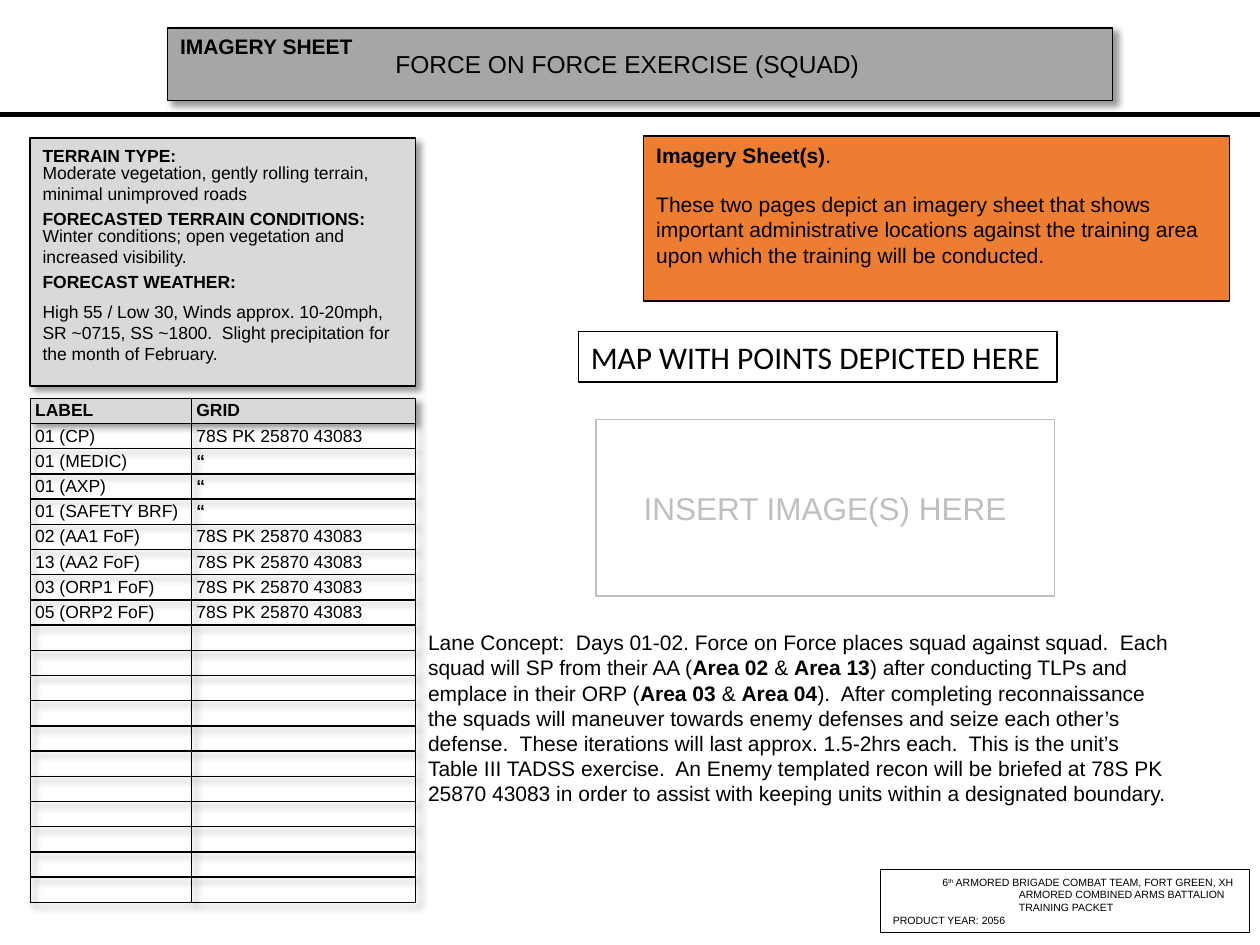
"""Build the imagery sheet slide for a squad force on force exercise."""
from lxml import etree
from pptx import Presentation
from pptx.dml.color import RGBColor
from pptx.enum.shapes import MSO_CONNECTOR, MSO_SHAPE
from pptx.enum.text import MSO_ANCHOR, PP_ALIGN
from pptx.oxml.ns import qn
from pptx.util import Cm, Pt

BLACK = RGBColor(0x00, 0x00, 0x00)
WHITE = RGBColor(0xFF, 0xFF, 0xFF)
GRAY = RGBColor(0xA6, 0xA6, 0xA6)
LIGHT = RGBColor(0xD9, 0xD9, 0xD9)
SILVER = RGBColor(0xBF, 0xBF, 0xBF)
ORANGE = RGBColor(0xED, 0x7D, 0x31)

GRID = "78S PK 25870 43083"
POINTS = [
    ("LABEL", "GRID"),
    ("01 (CP)", GRID),
    ("01 (MEDIC)", "“"),
    ("01 (AXP)", "“"),
    ("01 (SAFETY BRF)", "“"),
    ("02 (AA1 FoF)", GRID),
    ("13 (AA2 FoF)", GRID),
    ("03 (ORP1 FoF)", GRID),
    ("05 (ORP2 FoF)", GRID),
]
ROWS = 20
FORECASTS = [
    (3.15, 0.71, "Moderate vegetation, gently rolling terrain, minimal unimproved roads"),
    (4.42, 0.71, "Winter conditions; open vegetation and increased visibility."),
    (5.94, 1.73, "High 55 / Low 30, Winds approx. 10-20mph, SR ~0715, SS ~1800.  "
                 "Slight precipitation for the month of February."),
]
LANE = (
    "Lane Concept:  Days 01-02. Force on Force places squad against squad.  Each squad "
    "will SP from their AA (**Area 02 **& **Area 13**) after conducting TLPs and emplace "
    "in their ORP (**Area 03 **& **Area 04**).  After completing reconnaissance the squads "
    "will maneuver towards enemy defenses and seize each other’s defense.  These "
    "iterations will last approx. 1.5-2hrs each.  This is the unit’s Table III TADSS "
    "exercise.  An Enemy templated recon will be briefed at 78S PK 25870 43083 in order to "
    "assist with keeping units within a designated boundary."
)


def add_shadow(parent, index):
    effects = etree.Element(qn("a:effectLst"))
    shadow = etree.SubElement(effects, qn("a:outerShdw"), blurRad=str(Pt(4)),
                              dist=str(Pt(3)), dir="2700000", algn="tl", rotWithShape="0")
    color = etree.SubElement(shadow, qn("a:srgbClr"), val=str(BLACK))
    etree.SubElement(color, qn("a:alpha"), val="40000")
    parent.insert(index, effects)


def set_paragraph(p, text, size, color=BLACK, bold=False, font="Arial"):
    p.font.size, p.font.name, p.font.bold = Pt(size), font, bold
    p.font.color.rgb = color
    for i, part in enumerate(text.split("**")):
        if part:
            r = p.add_run()
            r.text = part
            if i % 2:
                r.font.bold = True


def set_text(tf, lines, size, wrap=True, align=PP_ALIGN.LEFT, gap=0, **style):
    tf.word_wrap = wrap
    tf.vertical_anchor = MSO_ANCHOR.TOP
    for i, line in enumerate(lines):
        p = tf.add_paragraph() if i else tf.paragraphs[0]
        p.alignment = align
        if i and gap:
            p.space_before = Pt(gap)
        set_paragraph(p, line, size, **style)


def add_box(s, box, fill=None, line=BLACK, width=1, shadow=False):
    sp = s.shapes.add_shape(MSO_SHAPE.RECTANGLE, *map(Cm, box))
    sp.shadow.inherit = False
    if fill is None:
        sp.fill.background()
    else:
        sp.fill.solid()
        sp.fill.fore_color.rgb = fill
    sp.line.color.rgb = line
    sp.line.width = Pt(width)
    if shadow:
        sppr = sp.element.spPr
        sppr.remove(sppr.find(qn("a:effectLst")))
        add_shadow(sppr, len(sppr))
    return sp.text_frame


def add_label(s, box, text, size, wrap=True):
    set_text(s.shapes.add_textbox(*map(Cm, box)).text_frame, [text], size, wrap)


def add_rule(s, y):
    rule = s.shapes.add_connector(MSO_CONNECTOR.STRAIGHT, 0, Cm(y), Cm(25.4), Cm(y))
    rule.line.color.rgb = BLACK
    rule.line.width = Pt(3)
    etree.SubElement(rule.element.spPr, qn("a:effectLst"))


def add_footer(s):
    tf = add_box(s, (17.75, 17.53, 7.44, 1.27), WHITE, width=0.75)
    lines = ["6", "ARMORED COMBINED ARMS BATTALION", "TRAINING PACKET", "PRODUCT YEAR: 2056"]
    set_text(tf, lines, 6, wrap=False)
    for p, indent in zip(tf.paragraphs, (1, 2.54, 2.54, 0)):
        p._p.get_or_add_pPr().set("marL", str(Cm(indent)))
    first = tf.paragraphs[0]
    ordinal = first.add_run()
    ordinal.text = "th"
    ordinal._r.get_or_add_rPr().set("baseline", "30000")
    first.add_run().text = " ARMORED BRIGADE COMBAT TEAM, FORT GREEN, XH"


def set_borders(cell):
    tcpr = cell._tc.get_or_add_tcPr()
    for side in ("lnL", "lnR", "lnT", "lnB"):
        ln = etree.SubElement(tcpr, qn(f"a:{side}"), w=str(Pt(1)))
        fill = etree.SubElement(ln, qn("a:solidFill"))
        etree.SubElement(fill, qn("a:srgbClr"), val=str(BLACK))


def fill_cell(cell, text, header):
    cell.margin_left = Cm(0.1)
    cell.margin_right = cell.margin_top = cell.margin_bottom = 0
    cell.vertical_anchor = MSO_ANCHOR.MIDDLE
    set_borders(cell)
    if header:
        cell.fill.solid()
        cell.fill.fore_color.rgb = LIGHT
    else:
        cell.fill.background()
    p = cell.text_frame.paragraphs[0]
    set_paragraph(p, text, 10, bold=header or text == "“")
    if not text:
        etree.SubElement(p._p, qn("a:endParaRPr"), sz="1000")


def add_points(s):
    box = map(Cm, (0.61, 8.03, 7.77, 10.16))
    table = s.shapes.add_table(ROWS, 2, *box).table
    table.first_row = table.horz_banding = False
    add_shadow(table._tbl.tblPr, 0)
    for column, width in zip(table.columns, (3.25, 4.52)):
        column.width = Cm(width)
    for i, row in enumerate(table.rows):
        row.height = Cm(10.16 / ROWS)
        texts = POINTS[i] if i < len(POINTS) else ("", "")
        for cell, text in zip(row.cells, texts):
            fill_cell(cell, text, i == 0)


def main():
    prs = Presentation()
    prs.slide_width, prs.slide_height = Cm(25.4), Cm(19.05)
    s = prs.slides.add_slide(prs.slide_layouts[6])

    add_rule(s, 2.31)
    add_footer(s)
    bar = add_box(s, (3.38, 0.56, 19.05, 1.47), GRAY, shadow=True)
    set_text(bar, ["IMAGERY SHEET"], 12, bold=True)
    panel = add_box(s, (0.61, 2.79, 7.77, 5), LIGHT, shadow=True)
    headings = ["TERRAIN TYPE:", "FORECASTED TERRAIN CONDITIONS:", "FORECAST WEATHER:"]
    set_text(panel, headings, 10, gap=24, bold=True)
    frame = add_box(s, (12.01, 8.46, 9.25, 3.56), line=SILVER)
    set_text(frame, ["INSERT IMAGE(S) HERE"], 18, align=PP_ALIGN.CENTER, color=SILVER)
    frame.vertical_anchor = MSO_ANCHOR.MIDDLE

    add_label(s, (7.72, 0.86, 9.93, 0.86), "FORCE ON FORCE EXERCISE (SQUAD)", 14, wrap=False)
    add_points(s)
    for top, height, text in FORECASTS:
        add_label(s, (0.61, top, 7.77, height), text, 10)
    add_label(s, (8.38, 12.57, 15.49, 3.84), LANE, 12)

    map_note = add_box(s, (11.66, 6.68, 9.65, 1.02), width=0.75)
    set_text(map_note, ["MAP WITH POINTS DEPICTED HERE"], 18, wrap=False, font="Calibri")
    note = add_box(s, (12.98, 2.74, 11.81, 3.33), ORANGE, width=0.75)
    set_text(note, ["**Imagery Sheet(s)**.",
                    "These two pages depict an imagery sheet that shows important administrative "
                    "locations against the training area upon which the training will be "
                    "conducted."], 12, gap=14)
    prs.save("out.pptx")


main()
